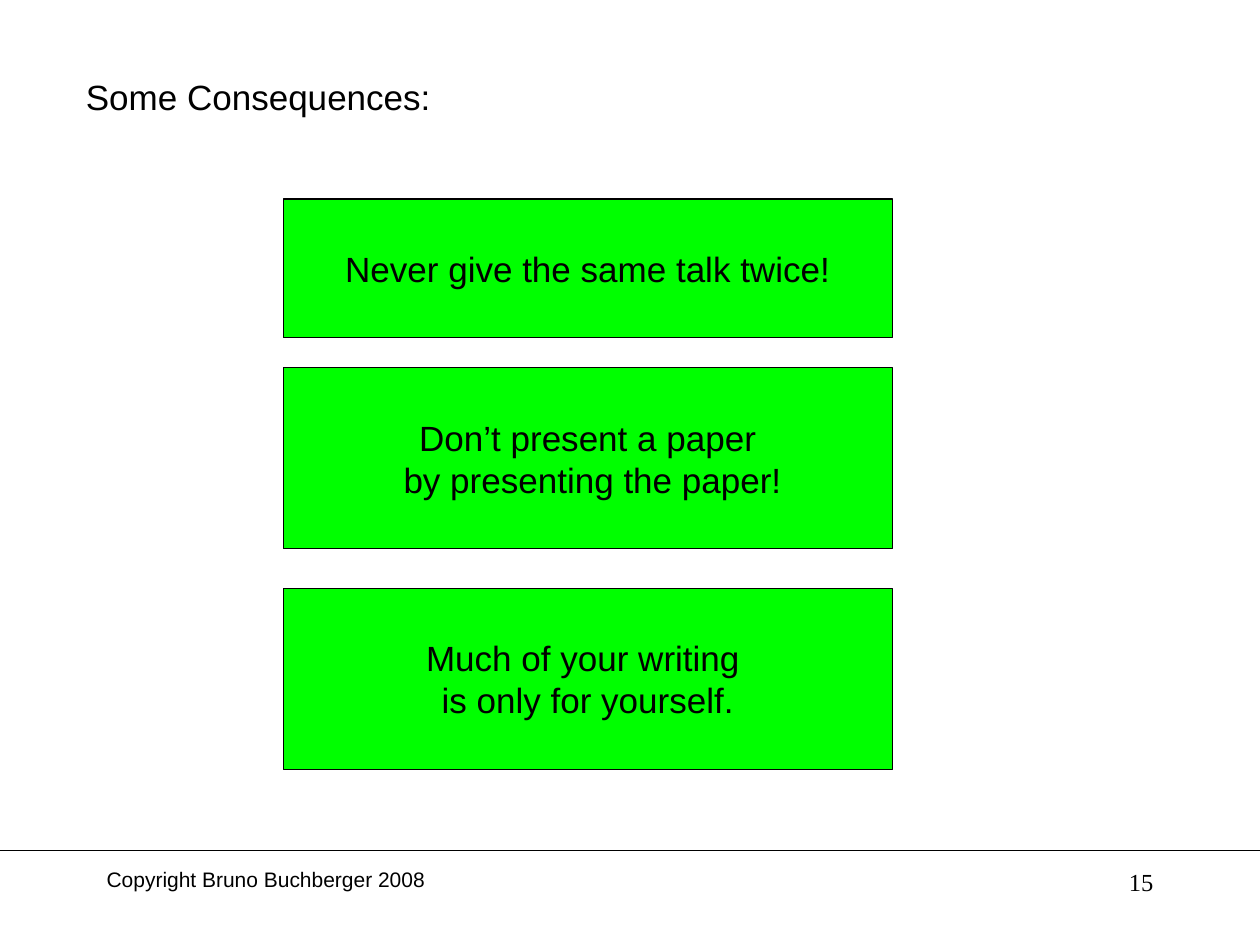
"""Build the slide listing some consequences for talks and papers."""
from dataclasses import dataclass

from lxml.etree import SubElement
from pptx import Presentation
from pptx.dml.color import RGBColor
from pptx.enum.shapes import MSO_CONNECTOR, MSO_SHAPE
from pptx.enum.text import MSO_ANCHOR, PP_ALIGN
from pptx.oxml.ns import qn
from pptx.util import Cm, Pt


@dataclass(frozen=True)
class Theme:
    ink: RGBColor = RGBColor(0, 0, 0)
    panel: RGBColor = RGBColor(0, 255, 0)
    sans: str = "Arial"
    serif: str = "Times New Roman"
    body: int = 20
    number: int = 14
    footer: int = 12
    stroke: float = 0.75


def write(frame, text, *, size, font, color, align=PP_ALIGN.LEFT,
          anchor=MSO_ANCHOR.TOP, wrap=True):
    frame.word_wrap = wrap
    frame.vertical_anchor = anchor
    frame.text = text
    for paragraph in frame.paragraphs:
        paragraph.alignment = align
        paragraph.font.size = Pt(size)
        paragraph.font.name = font
        paragraph.font.color.rgb = color


class SlideBuilder:
    def __init__(self, slide, theme):
        self.slide = slide
        self.theme = theme

    def label(self, text, left, top, width, height, **style):
        box = self.slide.shapes.add_textbox(Cm(left), Cm(top), Cm(width), Cm(height))
        style = {"font": self.theme.sans, "color": self.theme.ink} | style
        write(box.text_frame, text, **style)

    def panel(self, text, left, top, width, height):
        panel = self.slide.shapes.add_shape(
            MSO_SHAPE.RECTANGLE, Cm(left), Cm(top), Cm(width), Cm(height))
        panel.shadow.inherit = False
        panel.fill.solid()
        panel.fill.fore_color.rgb = self.theme.panel
        self.outline(panel.line)
        write(panel.text_frame, text, size=self.theme.body, font=self.theme.sans,
              color=self.theme.ink, align=PP_ALIGN.CENTER, anchor=MSO_ANCHOR.MIDDLE)

    def rule(self, left, right, top):
        rule = self.slide.shapes.add_connector(
            MSO_CONNECTOR.STRAIGHT, Cm(left), Cm(top), Cm(right), Cm(top))
        self.outline(rule.line)
        SubElement(rule._element.spPr, qn("a:effectLst"))

    def outline(self, line):
        line.color.rgb = self.theme.ink
        line.width = Pt(self.theme.stroke)


def main():
    deck = Presentation()
    deck.slide_width, deck.slide_height = Cm(25.4), Cm(19.05)
    theme = Theme()
    builder = SlideBuilder(deck.slides.add_slide(deck.slide_layouts[6]), theme)

    builder.label("Copyright Bruno Buchberger 2008", 1.9, 17.35, 6.93, 0.76,
                  size=theme.footer, wrap=False)
    builder.rule(0, 25.4, 17.14)
    builder.label("Some Consequences:", 1.48, 1.4, 7.47, 1.12,
                  size=theme.body, wrap=False)

    consequences = [
        ("Never give the same talk twice!", 4.01, 2.8),
        ("Don’t present a paper\n by presenting the paper!", 7.41, 3.65),
        ("Much of your writing \nis only for yourself.", 11.86, 3.65),
    ]
    for advice, top, height in consequences:
        builder.panel(advice, 5.71, top, 12.28, height)

    builder.label("15", 18.2, 17.35, 5.3, 1.27, size=theme.number,
                  font=theme.serif, align=PP_ALIGN.RIGHT)
    deck.save("out.pptx")


if __name__ == "__main__":
    main()
